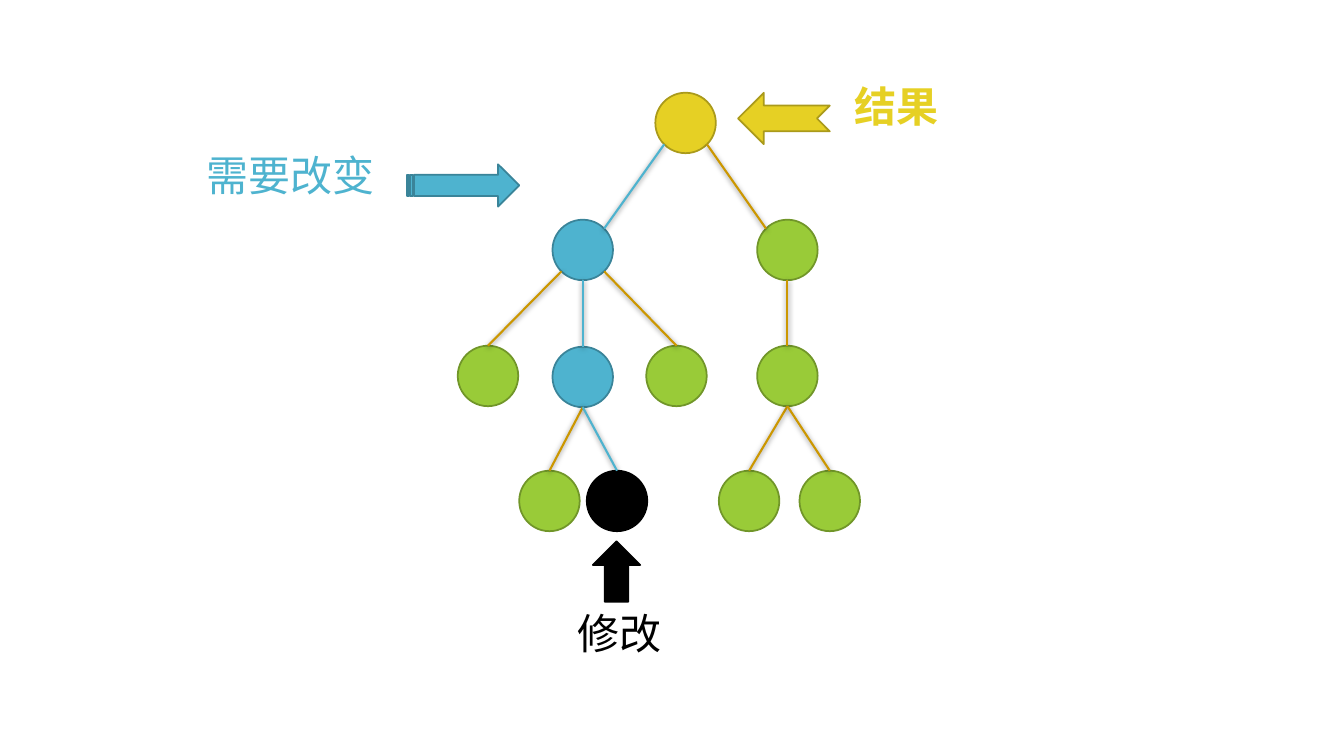
from math import sqrt

from lxml import etree
from pptx import Presentation
from pptx import util as u
from pptx.dml.color import RGBColor
from pptx.enum import shapes, text
from pptx.oxml.ns import qn

SHAPE = shapes.MSO_SHAPE


class Theme:
    font = "Calibri"
    label_size = 30
    outline = 1.25
    edge = 1.5
    amber = "CC9700"
    shadow = "000000"
    # Each role has a fill and an outline colour
    result = ("E6D024", "AA9A1B")
    change = ("4EB3CF", "3A8499")
    keep = ("99CB38", "719629")
    modify = ("000000", "000000")


def add_text(p, content, *, size, color, bold=False):
    p.alignment = text.PP_ALIGN.CENTER
    r = p.add_run()
    r.text = content
    r.font.name = Theme.font
    r.font.size = u.Pt(size)
    r.font.bold = bold
    r.font.color.rgb = RGBColor.from_string(color)


class TreeSlide:
    diameter = 0.6

    def __init__(self, prs, theme):
        self.theme = theme
        self.s = prs.slides.add_slide(prs.slide_layouts[6])

    def shape(self, kind, left, top, width, height, role, rotation=0):
        sp = self.s.shapes.add_shape(kind, *map(u.Inches, (left, top, width, height)))
        fill, line = role
        sp.shadow.inherit = False
        sp.fill.solid()
        sp.fill.fore_color.rgb = RGBColor.from_string(fill)
        sp.line.color.rgb = RGBColor.from_string(line)
        sp.line.width = u.Pt(self.theme.outline)
        sp.rotation = rotation
        return sp

    def node(self, cx, cy, role):
        d = self.diameter
        return self.shape(SHAPE.OVAL, cx - d / 2, cy - d / 2, d, d, role)

    def rim(self, center, side, down):
        """Point on a node's rim: side -1 left, 0 middle, 1 right; down 1 bottom, -1 top."""
        reach = self.diameter / 2 / sqrt(1 + side * side)
        return center[0] + side * reach, center[1] + down * reach

    def edge(self, start, end, color, child=None):
        c = self.s.shapes.add_connector(
            shapes.MSO_CONNECTOR.STRAIGHT, *map(u.Inches, (*start, *end)))
        if child is not None:
            c.end_connect(child, 0)
        c.line.color.rgb = RGBColor.from_string(color)
        c.line.width = u.Pt(self.theme.edge)
        # Soft shadow just below the line
        effects = etree.SubElement(c._element.spPr, qn("a:effectLst"))
        shadow = etree.SubElement(
            effects, qn("a:outerShdw"), blurRad=str(u.Pt(4)), dist=str(u.Pt(1)),
            dir="5400000", algn="ctr", rotWithShape="0")
        clr = etree.SubElement(shadow, qn("a:srgbClr"), val=self.theme.shadow)
        etree.SubElement(clr, qn("a:alpha"), val="50000")

    def label(self, content, left, top, width, role, bold=False):
        tb = self.s.shapes.add_textbox(*map(u.Inches, (left, top, width, 0.77)))
        tf = tb.text_frame
        tf.word_wrap = False
        tf.auto_size = text.MSO_AUTO_SIZE.SHAPE_TO_FIT_TEXT
        add_text(tf.paragraphs[0], content, size=self.theme.label_size,
                 color=role[0], bold=bold)


def main():
    prs = Presentation()
    prs.slide_width, prs.slide_height = u.Inches(13.33), u.Inches(7.5)
    t = Theme
    slide = TreeSlide(prs, t)

    # Tree nodes: centre x, centre y, role
    nodes = {
        "root": (6.8, 1.22, t.result),
        "left": (5.78, 2.48, t.change),
        "right": (7.81, 2.48, t.keep),
        "left_a": (4.84, 3.73, t.keep),
        "left_b": (5.78, 3.74, t.change),
        "left_c": (6.71, 3.73, t.keep),
        "right_a": (7.81, 3.73, t.keep),
        "right_leaf_a": (7.43, 4.97, t.keep),
        "right_leaf_b": (8.23, 4.97, t.keep),
        "left_leaf": (5.45, 4.97, t.keep),
        "modified": (6.12, 4.97, t.modify),
    }
    circles = {name: slide.node(*node) for name, node in nodes.items()}

    # Edges: parent, child, side of the parent, side of the child
    edges = [
        ("root", "left", -1, 1), ("root", "right", 1, -1),
        ("left", "left_a", -1, 0), ("left", "left_b", 0, 0), ("left", "left_c", 1, 0),
        ("left_b", "left_leaf", 0, 0), ("left_b", "modified", 0, 0),
        ("right", "right_a", 0, 0),
        ("right_a", "right_leaf_a", 0, 0), ("right_a", "right_leaf_b", 0, 0),
    ]
    for parent, child, out_side, in_side in edges:
        color = t.amber if nodes[child][2] == t.keep else t.change[0]
        slide.edge(slide.rim(nodes[parent], out_side, 1),
                   slide.rim(nodes[child], in_side, -1), color,
                   circles[child] if in_side == 0 else None)

    # Labels and their arrows
    slide.label("修改", 5.48, 5.98, 1.32, t.modify)
    slide.shape(SHAPE.UP_ARROW, 5.88, 5.37, 0.47, 0.6, t.modify)
    slide.label("需要改变", 1.69, 1.43, 2.39, t.change)
    slide.shape(SHAPE.STRIPED_RIGHT_ARROW, 4.04, 1.63, 1.11, 0.42, t.change)
    slide.label("结果", 8.23, 0.75, 1.32, t.result, bold=True)
    slide.shape(SHAPE.NOTCHED_RIGHT_ARROW, 7.32, 0.92, 0.91, 0.51, t.result, rotation=180)

    prs.save("out.pptx")


if __name__ == "__main__":
    main()
